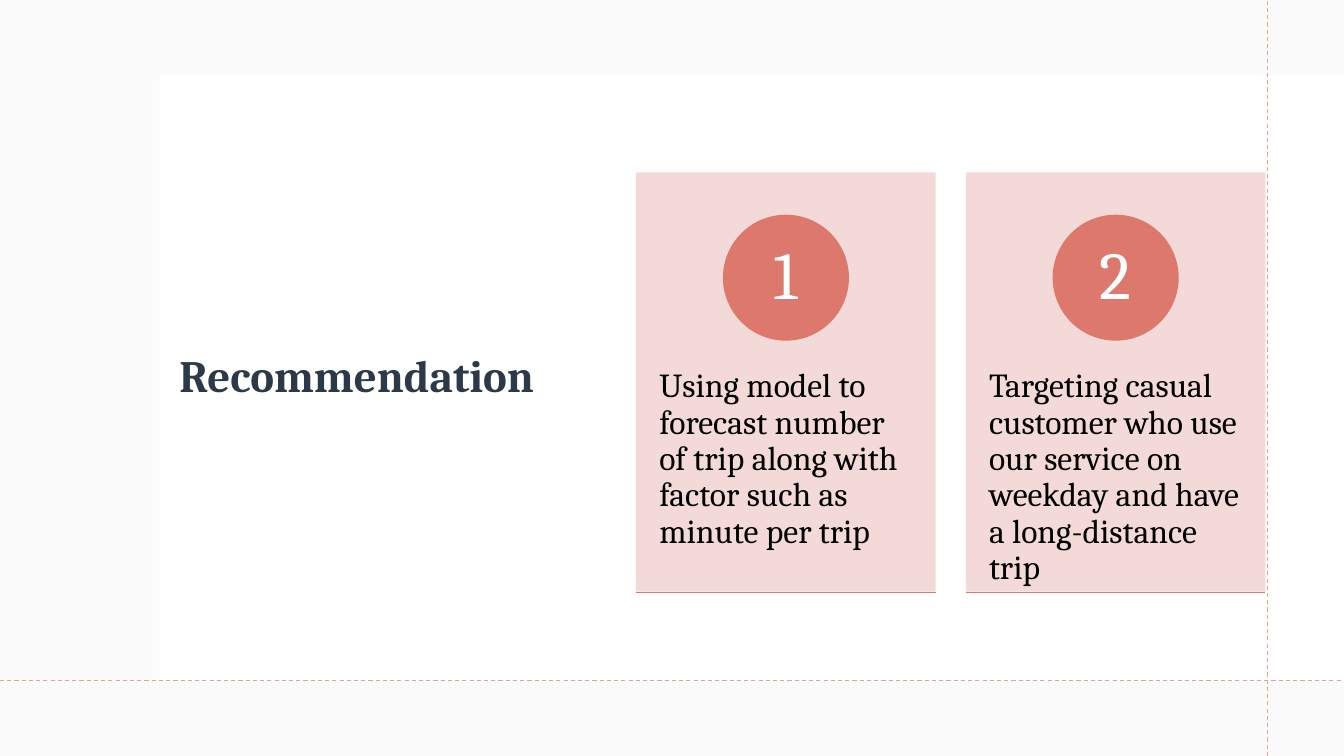
from pptx import Presentation
from pptx import util as u
from pptx.dml.color import RGBColor
from pptx.enum import dml, shapes, text
from pptx.oxml.ns import qn
from lxml import etree

hues = {"white": "FFFFFF", "mist": "F4F4F4", "navy": "2C3948", "rose": "F49D90",
        "blush": "F2D7D4", "coral": "DD796C", "black": "000000"}
ideas = ["Using model to forecast number of trip along with factor such as minute per trip",
         "Targeting casual customer who use our service on weekday and have a long-distance trip"]

deck = Presentation()
deck.slide_width, deck.slide_height = u.Inches(13.33), u.Inches(7.5)
slide = deck.slides.add_slide(deck.slide_layouts[5])
items = slide.shapes


def block(kind, box, hue, alpha=100):
    shape = items.add_shape(kind, *map(u.Inches, box))
    shape.shadow.inherit = False
    shape.fill.solid()
    shape.fill.fore_color.rgb = RGBColor.from_string(hues[hue])
    shape.line.fill.background()
    if alpha < 100:
        color = shape.element.spPr.find(qn("a:solidFill"))[0]
        etree.SubElement(color, qn("a:alpha"), val=str(alpha * 1000))
    return shape


def write(shape, words, size, hue, pads, anchor, align):
    frame = shape.text_frame
    frame.text = words
    frame.word_wrap = True
    frame.auto_size = text.MSO_AUTO_SIZE.NONE
    frame.vertical_anchor = anchor
    frame.margin_left = frame.margin_right = u.Inches(pads[0])
    frame.margin_top = frame.margin_bottom = u.Inches(pads[1])
    para = frame.paragraphs[0]
    para.alignment = align
    para.line_spacing = 0.9
    font = para.runs[0].font
    font.name, font.size = "Cambria", u.Pt(size)
    font.color.rgb = RGBColor.from_string(hues[hue])
    return font


rect, oval = shapes.MSO_SHAPE.RECTANGLE, shapes.MSO_SHAPE.OVAL
top, mid = text.MSO_ANCHOR.TOP, text.MSO_ANCHOR.MIDDLE
left, center = text.PP_ALIGN.LEFT, text.PP_ALIGN.CENTER

block(rect, (0, 0, 13.33, 7.5), "mist", 35)
block(rect, (1.58, 0.75, 11.75, 6), "white")

title = items.title
title.left, title.top, title.width, title.height = map(u.Inches, (1.68, 1.89, 4.63, 3.72))
write(title, "Recommendation", 32, "navy", (0.1, 0.05), mid, left).bold = True
items.element.append(title.element)

wide, gap, start = 2.97, 0.3, 6.31
lines = [((12.57, 7.5, 12.57, 0), "rose", 0.75, True),
         ((0, 6.75, 13.33, 6.75), "rose", 0.75, True)]

for i, idea in enumerate(ideas):
    x = start + i * (wide + gap)
    block(rect, (x, 1.71, wide, 4.16), "blush", 90)
    body = items.add_textbox(*map(u.Inches, (x, 3.3, wide, 2.5)))
    write(body, idea, 24, "black", (0.23, 0.36), top, left)
    badge = block(oval, (x + (wide - 1.25) / 2, 2.13, 1.25, 1.25), "coral")
    write(badge, str(i + 1), 48, "white", (0.1, 0.01), mid, center)
    lines.append(((x, 5.88, x + wide, 5.88), "coral", 1, False))

for ends, hue, weight, dashed in lines:
    line = items.add_connector(shapes.MSO_CONNECTOR.STRAIGHT, *map(u.Inches, ends))
    line.line.color.rgb = RGBColor.from_string(hues[hue])
    line.line.width = u.Pt(weight)
    if dashed:
        line.line.dash_style = dml.MSO_LINE.DASH
    etree.SubElement(line.element.spPr, qn("a:effectLst"))

deck.save("out.pptx")
